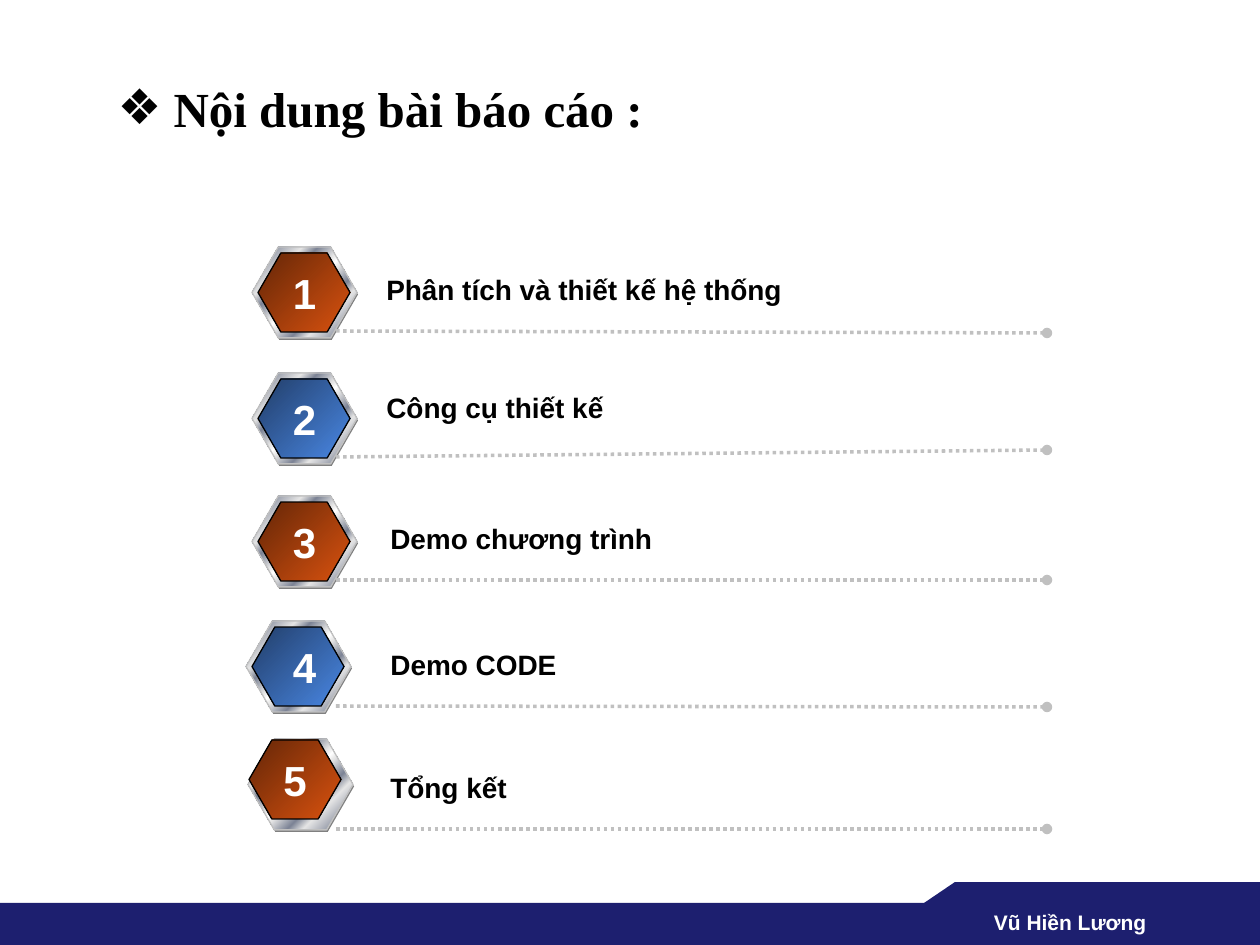
import pptx
import pptx.util
import pptx.dml.color
import pptx.enum.dml
import pptx.enum.shapes
import pptx.enum.text
import pptx.oxml
import pptx.oxml.ns

COLORS = {
    "navy": "1D1F6F", "black": "000000", "white": "FFFFFF",
    "silver": "C0C0C0", "shade": "808080",
}
RUST = [(0, "642607"), (100, "D9520F")]
BLUE = [(0, "223E69"), (100, "4987E3")]
METAL = [
    (0, "E6E6E6"), (8, "7D8496"), (26, "E6E6E6"), (34, "7D8496"),
    (46, "E6E6E6"), (50, "FFFFFF"), (54, "E6E6E6"), (66, "7D8496"),
    (74, "E6E6E6"), (92, "7D8496"), (100, "E6E6E6"),
]
ALIGN = pptx.enum.text.PP_ALIGN
ANCHOR = pptx.enum.text.MSO_ANCHOR
SHAPE = pptx.enum.shapes.MSO_SHAPE


def px(value):
    return pptx.util.Emu(round(value * 914400 / 126))


def rgb(name):
    return pptx.dml.color.RGBColor.from_string(COLORS[name])


def add_element(parent, tag, **attributes):
    element = pptx.oxml.parse_xml(f"<a:{tag} {pptx.oxml.ns.nsdecls('a')}/>")
    for key, value in attributes.items():
        element.set(key, str(value))
    parent.append(element)
    return element


class AgendaSlide:
    font_name = "Arial"

    def __init__(self, slide):
        self.slide = slide

    def paint(self, shape, fill, line=None):
        shape.shadow.inherit = False
        if isinstance(fill, str):
            shape.fill.solid()
            shape.fill.fore_color.rgb = rgb(fill)
        else:
            shape.fill.gradient()
            shape.fill.gradient_angle = 315
            stops = shape._element.spPr.find(".//" + pptx.oxml.ns.qn("a:gsLst"))
            for stop in list(stops):
                stops.remove(stop)
            for position, color in fill:
                stop = add_element(stops, "gs", pos=position * 1000)
                add_element(stop, "srgbClr", val=color)
        if line:
            shape.line.color.rgb = rgb(line)
            shape.line.width = pptx.util.Pt(0.75)
        else:
            shape.line.fill.background()

    def set_text(self, shape, text, size, color="black", align=ALIGN.LEFT, font_name=None):
        paragraph = shape.text_frame.paragraphs[0]
        paragraph.text = text
        paragraph.alignment = align
        font = paragraph.font
        font.name = font_name or self.font_name
        font.size = pptx.util.Pt(size)
        font.bold = True
        font.color.rgb = rgb(color)

    def title(self, text, left, top, width, height):
        shape = self.slide.shapes.title
        shape.left, shape.top, shape.width, shape.height = map(px, (left, top, width, height))
        shape.text_frame.vertical_anchor = ANCHOR.MIDDLE
        shape.text_frame.auto_size = pptx.enum.text.MSO_AUTO_SIZE.NONE
        properties = shape.text_frame.paragraphs[0]._p.get_or_add_pPr()
        properties.set("marL", str(px(56)))
        properties.set("indent", str(-px(56)))
        add_element(properties, "buFont", typeface="Arial")
        add_element(properties, "buChar", char="❖")
        self.set_text(shape, text, 28, font_name="Times New Roman")

    def text(self, text, left, top, width, height, size, **style):
        shape = self.slide.shapes.add_textbox(*map(px, (left, top, width, height)))
        shape.text_frame.word_wrap = False
        self.set_text(shape, text, size, **style)
        return shape

    def hexagon(self, group, left, top, width, height, fill, line=None):
        shape = group.shapes.add_shape(SHAPE.HEXAGON, *map(px, (left, top, width, height)))
        shape.adjustments[0] = 0.289
        self.paint(shape, fill, line)
        return shape

    def badge(self, left, top, inset, colors):
        group = self.slide.shapes.add_group_shape()
        self.hexagon(group, left + 1, top + 2, 105, 91, "shade")
        self.hexagon(group, left, top, 105, 91, METAL, "silver")
        return self.hexagon(group, left + inset, top + inset, 92, 79, colors, "black")

    def dotted_line(self, start_x, start_y, end_x, end_y):
        connector = self.slide.shapes.add_connector(
            pptx.enum.shapes.MSO_CONNECTOR.STRAIGHT,
            *map(px, (start_x, start_y, end_x, end_y)))
        connector.line.color.rgb = rgb("silver")
        connector.line.width = pptx.util.Pt(2)
        connector.line.dash_style = pptx.enum.dml.MSO_LINE.ROUND_DOT
        properties = connector._element.spPr
        add_element(properties.find(pptx.oxml.ns.qn("a:ln")), "tailEnd", type="oval")
        add_element(properties, "effectLst")

    def footer(self, author):
        band = self.slide.shapes.add_shape(SHAPE.RECTANGLE, *map(px, (0, 903, 1260, 42)))
        self.paint(band, "navy")
        builder = self.slide.shapes.build_freeform(px(924), px(903), scale=1.0)
        corners = [(955, 882), (1260, 882), (1260, 914), (924, 914)]
        builder.add_line_segments([(px(x), px(y)) for x, y in corners], close=True)
        self.paint(builder.convert_to_shape(), "navy")
        box = self.text(author, 868, 904, 291, 37, 12, color="white", align=ALIGN.RIGHT)
        box.text_frame.vertical_anchor = ANCHOR.MIDDLE


def main():
    presentation = pptx.Presentation()
    presentation.slide_width, presentation.slide_height = px(1260), px(945)
    agenda = AgendaSlide(presentation.slides.add_slide(presentation.slide_layouts[5]))
    agenda.footer("Vũ Hiền Lương")
    agenda.title("Nội dung bài báo cáo :", 105, 69, 1081, 78)

    rows = [
        ("Phân tích và thiết kế hệ thống", 252, 247, 374, 266, 426, 331, 333),
        ("Công cụ thiết kế", 252, 373, 374, 384, 246, 457, 450),
        ("Demo chương trình", 252, 496, 378, 515, 291, 580, 580),
        ("Demo CODE", 246, 621, 378, 641, 193, 706, 707),
        ("Tổng kết", 248, 739, 378, 764, 144, 829, 829),
    ]
    for number, row in enumerate(rows, 1):
        label, left, top, label_left, label_top, label_width, line_start, line_end = row
        last = number == len(rows)
        face = agenda.badge(left, top, 1 if last else 6, RUST if number % 2 else BLUE)
        agenda.dotted_line(336, line_start, 1047, line_end)
        agenda.text(label, label_left, label_top, label_width, 47, 16)
        if last:
            face.text_frame.word_wrap = False
            face.text_frame.vertical_anchor = ANCHOR.MIDDLE
            agenda.set_text(face, str(number), 24, "white", ALIGN.CENTER)
        else:
            agenda.text(str(number), 280, top + 14, 49, 63, 24,
                        color="white", align=ALIGN.CENTER)
    presentation.save("out.pptx")


if __name__ == "__main__":
    main()
